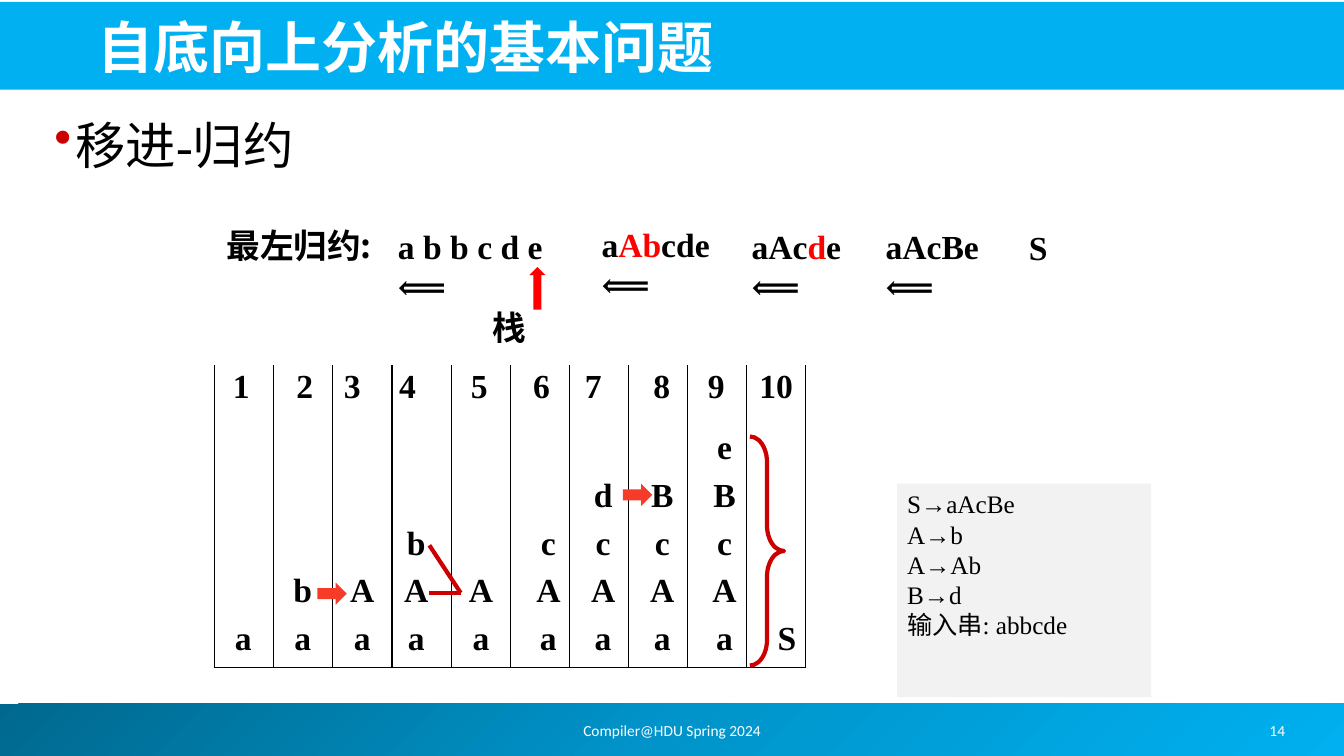
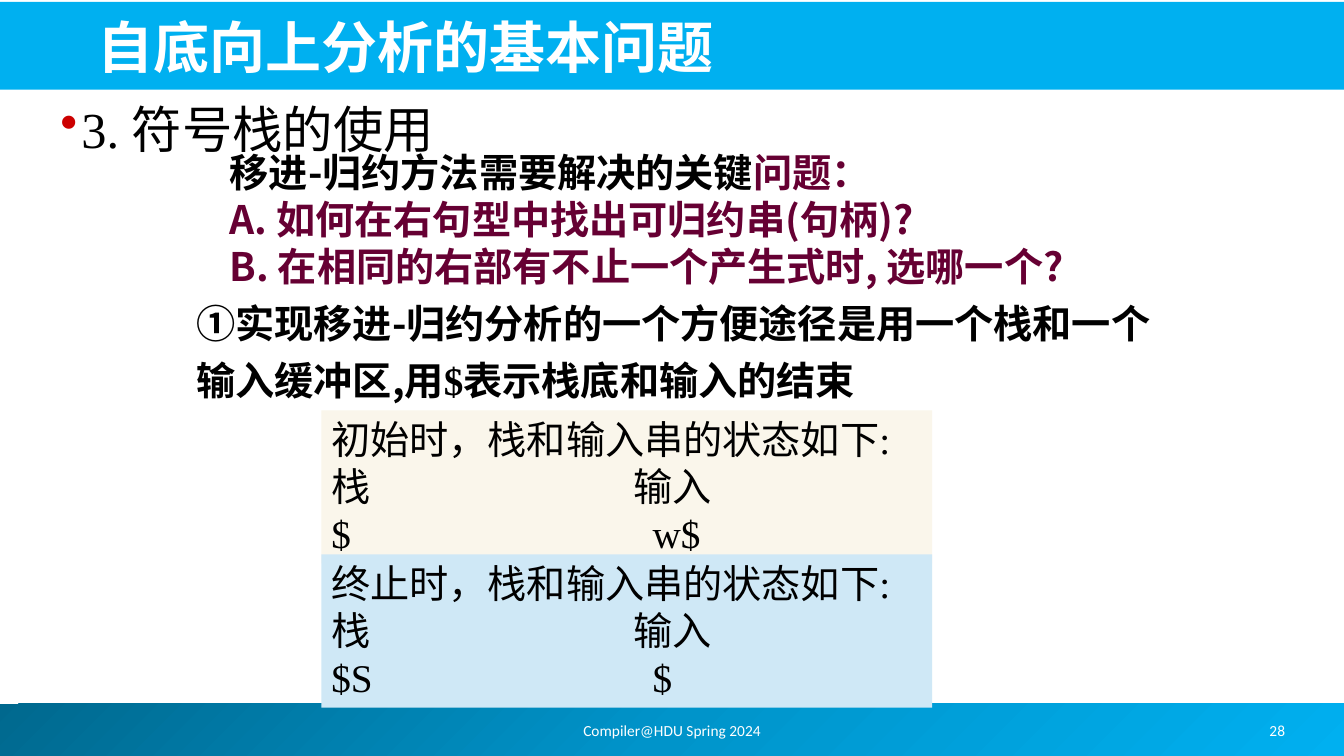
from copy import deepcopy

from lxml.etree import SubElement
from pptx import Presentation
from pptx.dml.color import RGBColor
from pptx.enum.shapes import MSO_CONNECTOR as Connector, MSO_SHAPE as Preset
from pptx.enum.text import MSO_ANCHOR as Anchor, PP_ALIGN as Align
from pptx.oxml.ns import qn
from pptx.util import Cm, Pt

COLORS = {
    "sky": "00B0F0", "sea": "0094CA", "deep": "00688E",
    "white": "FFFFFF", "black": "000000", "gray": "F2F2F2",
    "red": "FF0000", "crimson": "CC0000", "orange": "F63C28",
    "plum": "660033", "cream": "FAF6EB", "ice": "CFE8F6",
}
SANS, SERIF, FOOT = "Noto Sans CJK JP", "Times New Roman", "Calibri"
TITLE = "自底向上分析的基本问题"
FOOTER = "Compiler@HDU Spring 2024"

# Each stack column: centre of its number, centre of its symbols, symbols from the bottom up
STACKS = [
    (6.08, 6.13, "a"), (7.68, 7.63, "ab"), (8.88, 9.13, "aA"),
    (10.27, 10.49, "aAb"), (12.08, 12.12, "aA"), (13.65, 13.82, "aAc"),
    (14.95, 15.2, "aAcd"), (16.68, 16.69, "aAcB"), (18.05, 18.26, "aAcBe"),
    (19.56, 19.83, "S"),
]
GRID_LEFT, GRID_TOP, GRID_BOTTOM, COLUMN = 5.41, 9.2, 16.82, 1.49
NUMBER_TOP, BOTTOM_SYMBOL_TOP, SYMBOL_STEP = 9.07, 15.42, 1.2
SYMBOL_WIDTH, SYMBOL_HEIGHT = 1.5, 1.27

# Sentential forms: left, top, width, runs
REDUCTIONS = [
    (9.78, 5.56, 5.3, ["a b b c d e ⟸"]),
    (14.91, 5.51, 4.2, ["a", ("Ab", "red"), "cde⟸"]),
    (18.69, 5.56, 3.7, ["aAc", ("d", "red"), "e⟸"]),
    (22.07, 5.56, 3.8, ["aAcBe⟸"]),
    (25.68, 5.59, 1.2, ["S"]),
]
GRAMMAR = ["S→aAcBe", "A→b", "A→Ab", "B→d", "输入串: abbcde"]


def rgb(color):
    return RGBColor.from_string(COLORS[color])


def box(left, top, width, height):
    return Cm(left), Cm(top), Cm(width), Cm(height)


def style(paragraph, size, face, color="black", bold=False):
    """Format a whole paragraph, with one face for all Chinese text."""
    font = paragraph.font
    font.size, font.name, font.bold = Pt(size), face, bold
    font.color.rgb = rgb(color)
    defaults = paragraph._p.pPr.find(qn("a:defRPr"))
    SubElement(defaults, qn("a:ea")).set("typeface", SANS)


def add_runs(paragraph, runs):
    """A run is plain text or (text, colour[, face])."""
    for run in [runs] if isinstance(runs, str) else runs:
        words, color, face = (run, None, None) if isinstance(run, str) else (*run, None)[:3]
        piece = paragraph.add_run()
        piece.text = words
        if color:
            piece.font.color.rgb = rgb(color)
        if face:
            piece.font.name = face


def write(frame, lines, size, face, color="black", bold=False, align=Align.LEFT,
          spacing=None, tabs=()):
    for index, runs in enumerate(lines):
        paragraph = frame.paragraphs[0] if index == 0 else frame.add_paragraph()
        paragraph.alignment = align
        if spacing:
            paragraph.line_spacing = spacing
        if tabs and tabs[index]:
            stops = SubElement(paragraph._p.get_or_add_pPr(), qn("a:tabLst"))
            stop = SubElement(stops, qn("a:tab"))
            stop.set("pos", str(Cm(tabs[index])))
            stop.set("algn", "l")
        style(paragraph, size, face, color, bold)
        add_runs(paragraph, runs)


def add_text(slide, place, lines, size, face, wrap=True, anchor=Anchor.TOP, **look):
    frame = slide.shapes.add_textbox(*box(*place)).text_frame
    frame.word_wrap, frame.vertical_anchor = wrap, anchor
    write(frame, lines, size, face, **look)


def add_shape(slide, preset, place, fill=None, line=None):
    shape = slide.shapes.add_shape(preset, *box(*place))
    shape.shadow.inherit = False
    if fill:
        shape.fill.solid()
        shape.fill.fore_color.rgb = rgb(fill)
    else:
        shape.fill.background()
    if line:
        shape.line.color.rgb = rgb(line)
        shape.line.width = Pt(3)
    else:
        shape.line.fill.background()
    return shape


def add_panel(slide, place, fill, lines, size, **look):
    frame = add_shape(slide, Preset.RECTANGLE, place, fill).text_frame
    frame.word_wrap, frame.vertical_anchor = True, Anchor.TOP
    write(frame, lines, size, SERIF, **look)


def add_line(slide, x1, y1, x2, y2, color="black", width=0.75):
    line = slide.shapes.add_connector(Connector.STRAIGHT, Cm(x1), Cm(y1), Cm(x2), Cm(y2))
    line.line.color.rgb = rgb(color)
    line.line.width = Pt(width)
    SubElement(line._element.spPr, qn("a:effectLst"))


def add_heading(slide, place, heading):
    """Bulleted heading under the title band."""
    frame = slide.shapes.add_textbox(*box(*place)).text_frame
    frame.word_wrap = True
    paragraph = frame.paragraphs[0]
    props = paragraph._p.get_or_add_pPr()
    props.set("marL", str(Cm(0.53)))
    props.set("indent", str(-Cm(0.53)))
    tint = SubElement(props, qn("a:buClr"))
    SubElement(tint, qn("a:srgbClr")).set("val", COLORS["crimson"])
    SubElement(props, qn("a:buChar")).set("char", "•")
    write(frame, [heading], 36, SERIF)


def add_footer_band(slide):
    fill = add_shape(slide, Preset.RECTANGLE, (-0.13, 17.73, 34.01, 1.32), "sky").fill
    fill.gradient()
    fill.gradient_angle = 315
    first, last = fill.gradient_stops
    for stop, color, position in ((first, "deep", 0), (last, "sky", 1)):
        stop.color.rgb, stop.position = rgb(color), position
    # Middle stop
    middle = deepcopy(first._gs)
    middle.set("pos", "50000")
    middle.find(qn("a:srgbClr")).set("val", COLORS["sea"])
    first._gs.addnext(middle)


def new_slide(prs, number):
    """Title-only slide with bands, title and footer."""
    slide = prs.slides.add_slide(prs.slide_layouts[5])
    add_footer_band(slide)
    add_shape(slide, Preset.RECTANGLE, (-0.05, 0.05, 33.93, 2.21), "sky")

    title = slide.shapes.title
    title.left, title.top, title.width, title.height = box(2.21, 0.13, 30.63, 2.01)
    title.text_frame.vertical_anchor = Anchor.BOTTOM
    write(title.text_frame, [TITLE], 40, SANS, "white", bold=True)
    slide.shapes._spTree.append(title._element)  # in front of its band

    for place, words in (((11.58, 17.78, 10.72, 1.27), FOOTER),
                         ((30.96, 17.78, 2.46, 1.27), str(number))):
        add_text(slide, place, [words], 11, FOOT, anchor=Anchor.MIDDLE,
                 color="white", align=Align.CENTER)
    return slide


def add_symbol(slide, centre, top, symbol):
    place = (centre - SYMBOL_WIDTH / 2, top, SYMBOL_WIDTH, SYMBOL_HEIGHT)
    add_text(slide, place, [symbol], 24, SERIF, wrap=False, bold=True, align=Align.CENTER)


def add_stacks(slide):
    # Grid, open at the top
    for index in range(len(STACKS) + 1):
        x = GRID_LEFT + index * COLUMN
        add_line(slide, x, GRID_TOP, x, GRID_BOTTOM)
    add_line(slide, GRID_LEFT, GRID_BOTTOM, GRID_LEFT + len(STACKS) * COLUMN, GRID_BOTTOM)

    # Step numbers and stack contents
    for step, (number_centre, centre, symbols) in enumerate(STACKS, 1):
        add_symbol(slide, number_centre, NUMBER_TOP, str(step))
        for level, symbol in enumerate(symbols):
            add_symbol(slide, centre, BOTTOM_SYMBOL_TOP - level * SYMBOL_STEP, symbol)

    # Reduction marks
    for left, top in ((8, 14.68), (15.7, 12.19)):
        add_shape(slide, Preset.RIGHT_ARROW, (left, top, 0.74, 0.56), "orange")
    for start in (13.74, 14.94):
        add_line(slide, 10.82, start, 11.61, 14.94, "crimson", 3)
    brace = add_shape(slide, Preset.RIGHT_BRACE, (18.9, 11, 0.86, 5.77), line="crimson")
    brace.adjustments[0] = 0.75


def build_shift_reduce(prs):
    slide = new_slide(prs, 14)
    add_heading(slide, (1.12, 2.74, 31.6, 2), "移进-归约")

    # Leftmost reduction
    for place, label in (((5.46, 5.54, 4.19, 1.27), "最左归约:"),
                         ((12.17, 7.62, 1.37, 1.27), "栈")):
        add_text(slide, place, [label], 24, SANS, wrap=False, bold=True)
    for left, top, width, runs in REDUCTIONS:
        add_text(slide, (left, top, width, 1.27), [runs], 24, SERIF, bold=True)
    add_shape(slide, Preset.UP_ARROW, (13.34, 6.73, 0.41, 1.07), "red")

    add_stacks(slide)
    add_panel(slide, (22.61, 12.19, 6.4, 5.38), "gray", GRAMMAR, 18)


def build_symbol_stack(prs):
    slide = new_slide(prs, 28)
    add_heading(slide, (1.27, 2.34, 27.51, 2), "3. 符号栈的使用")

    # Key questions and approach
    add_text(slide, (5.54, 3.61, 23.39, 3.84), [
        [("移进-归约方法需要解决的关键", "black"), "问题："],
        "A. 如何在右句型中找出可归约串(句柄)?",
        "B. 在相同的右部有不止一个产生式时, 选哪一个?",
    ], 28, SANS, color="plum", bold=True)
    add_text(slide, (4.7, 7.19, 24.61, 3.12), [
        ["①实现移进-归约分析的一个方便途径是用一个栈和一个输入缓冲区,用",
         ("$表", None, SERIF), "示栈底和输入的结束"],
    ], 28, SANS, bold=True, spacing=1.2)

    # Stack and input, at the start and at the end
    for top, fill, moment, state in ((10.34, "cream", "初始", "$\tw$"),
                                     (13.97, "ice", "终止", "$S\t$")):
        lines = [f"{moment}时，栈和输入串的状态如下:", "栈\t输入", state]
        add_panel(slide, (8.1, top, 15.39, 3.86), fill, lines, 28, tabs=(None, 7.62, 8.1))


def main():
    prs = Presentation()
    prs.slide_width, prs.slide_height = Cm(33.87), Cm(19.05)
    build_shift_reduce(prs)
    build_symbol_stack(prs)
    prs.save("out.pptx")


if __name__ == "__main__":
    main()
